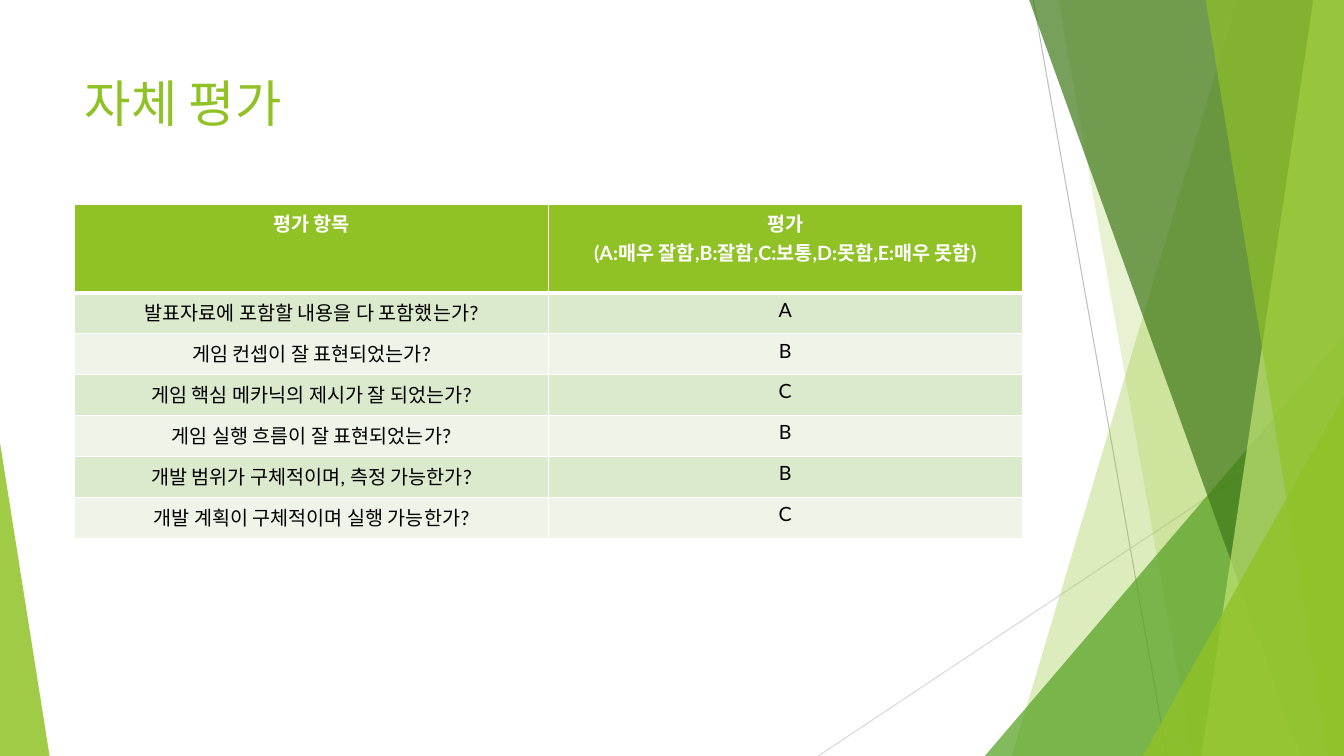
from dataclasses import dataclass

from lxml.etree import SubElement
from pptx import Presentation
from pptx.dml.color import RGBColor
from pptx.enum.shapes import MSO_CONNECTOR, MSO_SHAPE
from pptx.enum.text import MSO_ANCHOR, PP_ALIGN
from pptx.oxml.ns import qn
from pptx.util import Cm, Pt

WIDE, HIGH = 33.87, 19.05


@dataclass(frozen=True)
class Theme:
    font: str = "Lato"
    title: int = 36
    body: int = 14
    lime: str = "90C226"
    leaf: str = "54A021"
    moss: str = "3F7819"
    pale: str = "C0E474"
    gray: str = "BFBFBF"
    mist: str = "D9D9D9"
    white: str = "FFFFFF"
    black: str = "000000"
    bands: tuple = ("DBE9CD", "EEF4E8")


class Deck:
    def __init__(self, theme):
        self.theme = theme
        self.file = Presentation()
        self.file.slide_width, self.file.slide_height = Cm(WIDE), Cm(HIGH)
        self.slide = self.file.slides.add_slide(self.file.slide_layouts[5])
        self.shapes = self.slide.shapes

    def paint(self, shape, color, alpha):
        shape.shadow.inherit = False
        shape.line.fill.background()
        shape.fill.solid()
        shape.fill.fore_color.rgb = RGBColor.from_string(color)
        tint = shape._element.spPr.find(qn("a:solidFill"))[0]
        SubElement(tint, qn("a:alpha"), val=str(alpha * 1000))

    def line(self, x1, y1, x2, y2, color):
        line = self.shapes.add_connector(
            MSO_CONNECTOR.STRAIGHT, Cm(x1), Cm(y1), Cm(x2), Cm(y2))
        line.line.color.rgb = RGBColor.from_string(color)
        line.line.width = Pt(0.75)
        SubElement(line._element.spPr, qn("a:effectLst"))

    def blade(self, top, foot, color, alpha):
        """A panel with a slanted left side that fills up to the right edge."""
        pen = self.shapes.build_freeform(Cm(top), Cm(-0.02))
        pen.add_line_segments([(Cm(WIDE), Cm(-0.02)), (Cm(WIDE), Cm(HIGH)),
                               (Cm(foot), Cm(HIGH))], close=True)
        self.paint(pen.convert_to_shape(), color, alpha)

    def wedge(self, left, top, width, peak, color, alpha):
        """A triangle that stands on the bottom edge."""
        shape = self.shapes.add_shape(
            MSO_SHAPE.ISOSCELES_TRIANGLE,
            Cm(left), Cm(top), Cm(width), Cm(HIGH - top))
        shape.adjustments[0] = peak
        self.paint(shape, color, alpha)

    def text(self, para, words, size, color, bold=False):
        run = para.add_run()
        run.text = words
        run.font.name, run.font.size, run.font.bold = self.theme.font, Pt(size), bold
        run.font.color.rgb = RGBColor.from_string(color)

    def title(self, words, left, top, width, height):
        box = self.shapes.title
        box.left, box.top, box.width, box.height = map(Cm, (left, top, width, height))
        box.text_frame.word_wrap = True
        box.text_frame.vertical_anchor = MSO_ANCHOR.TOP
        para = box.text_frame.paragraphs[0]
        para.alignment = PP_ALIGN.LEFT
        self.text(para, words, self.theme.title, self.theme.lime)

    def cell(self, cell, lines, fill, color, head):
        frame = cell.text_frame
        for i, words in enumerate(lines):
            para = frame.add_paragraph() if i else frame.paragraphs[0]
            para.alignment = PP_ALIGN.CENTER
            self.text(para, words, self.theme.body, color, head)
        # Borders come before the fill in the cell properties
        props = cell._tc.get_or_add_tcPr()
        for side in "LRTB":
            wide = 3 if head and side == "B" else 1
            edge = SubElement(props, qn(f"a:ln{side}"), w=str(Pt(wide)))
            solid = SubElement(edge, qn("a:solidFill"))
            SubElement(solid, qn("a:srgbClr"), val=self.theme.white)
        cell.fill.solid()
        cell.fill.fore_color.rgb = RGBColor.from_string(fill)

    def table(self, rows, left, top, width, first, step):
        height = first + step * (len(rows) - 1)
        grid = self.shapes.add_table(
            len(rows), len(rows[0]), Cm(left), Cm(top), Cm(width), Cm(height)).table
        for r, row in enumerate(rows):
            head = r == 0
            grid.rows[r].height = Cm(first if head else step)
            fill = self.theme.lime if head else self.theme.bands[(r - 1) % 2]
            color = self.theme.white if head else self.theme.black
            for c, words in enumerate(row):
                self.cell(grid.cell(r, c), words.split("\n"), fill, color, head)


def main():
    look = Theme()
    deck = Deck(look)

    # Backdrop, from back to front
    deck.line(26.04, 0, 29.41, HIGH, look.gray)
    deck.line(WIDE, 10.24, 20.62, HIGH, look.mist)
    deck.blade(31.19, 25.5, look.lime, 30)
    deck.blade(26.67, 30.05, look.lime, 20)
    deck.wedge(24.82, 8.46, 9.05, 1, look.leaf, 72)
    deck.blade(25.93, 32.79, look.moss, 70)
    deck.blade(33.1, 30.28, look.pale, 70)
    deck.blade(30.38, 33.48, look.lime, 65)
    deck.wedge(28.8, 9.98, 5.07, 1, look.lime, 80)
    deck.wedge(0, 11.15, 1.25, 0, look.lime, 85)

    # Title and grades
    deck.title("자체 평가", 1.88, 1.7, 23.88, 3.66)
    deck.table([
        ("평가 항목", "평가\n(A:매우 잘함,B:잘함,C:보통,D:못함,E:매우 못함)"),
        ("발표자료에 포함할 내용을 다 포함했는가?", "A"),
        ("게임 컨셉이 잘 표현되었는가?", "B"),
        ("게임 핵심 메카닉의 제시가 잘 되었는가?", "C"),
        ("게임 실행 흐름이 잘 표현되었는가?", "B"),
        ("개발 범위가 구체적이며, 측정 가능한가?", "B"),
        ("개발 계획이 구체적이며 실행 가능한가?", "C"),
    ], 1.88, 5.14, 23.88, 2.24, 1.03)

    deck.file.save("out.pptx")


if __name__ == "__main__":
    main()
